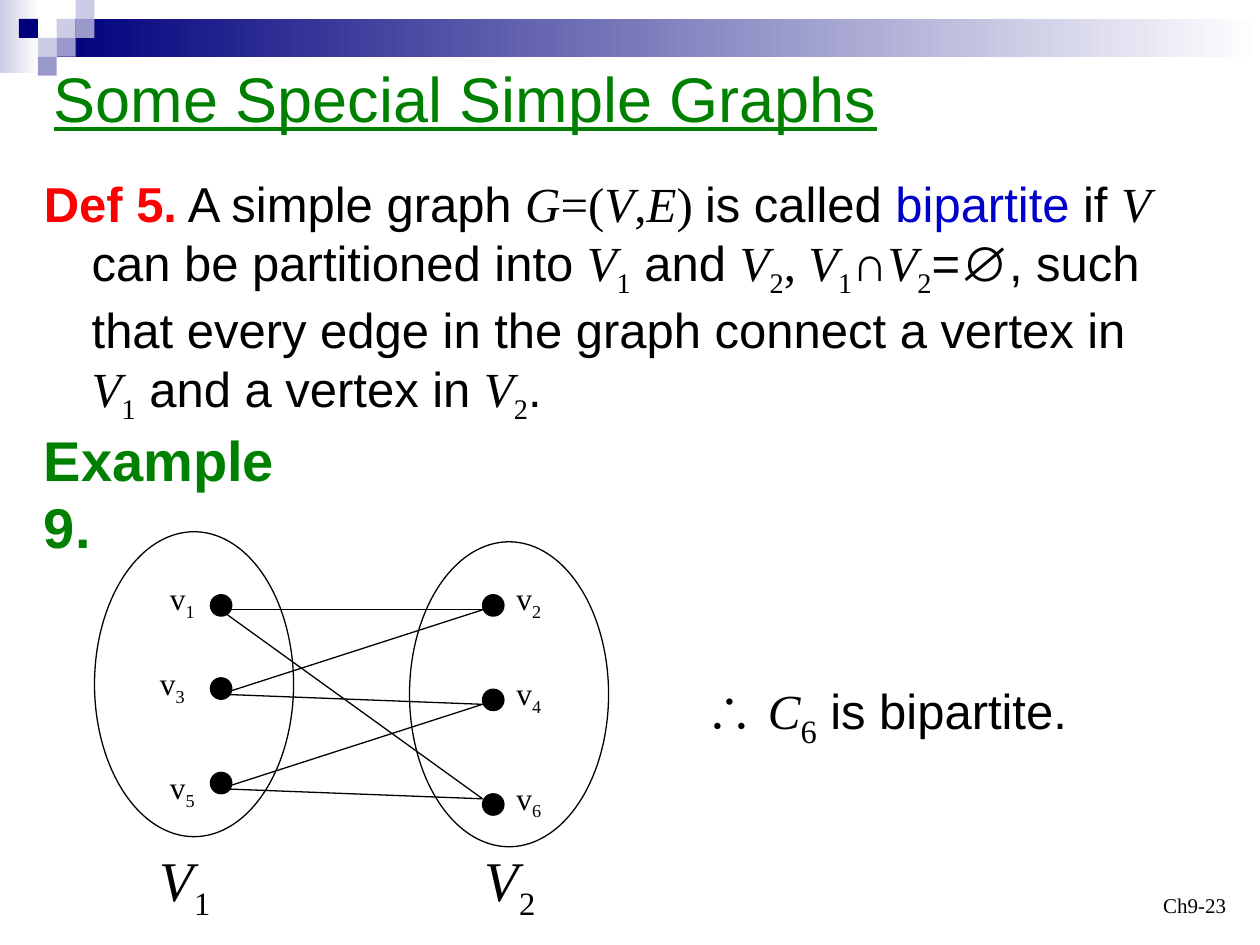
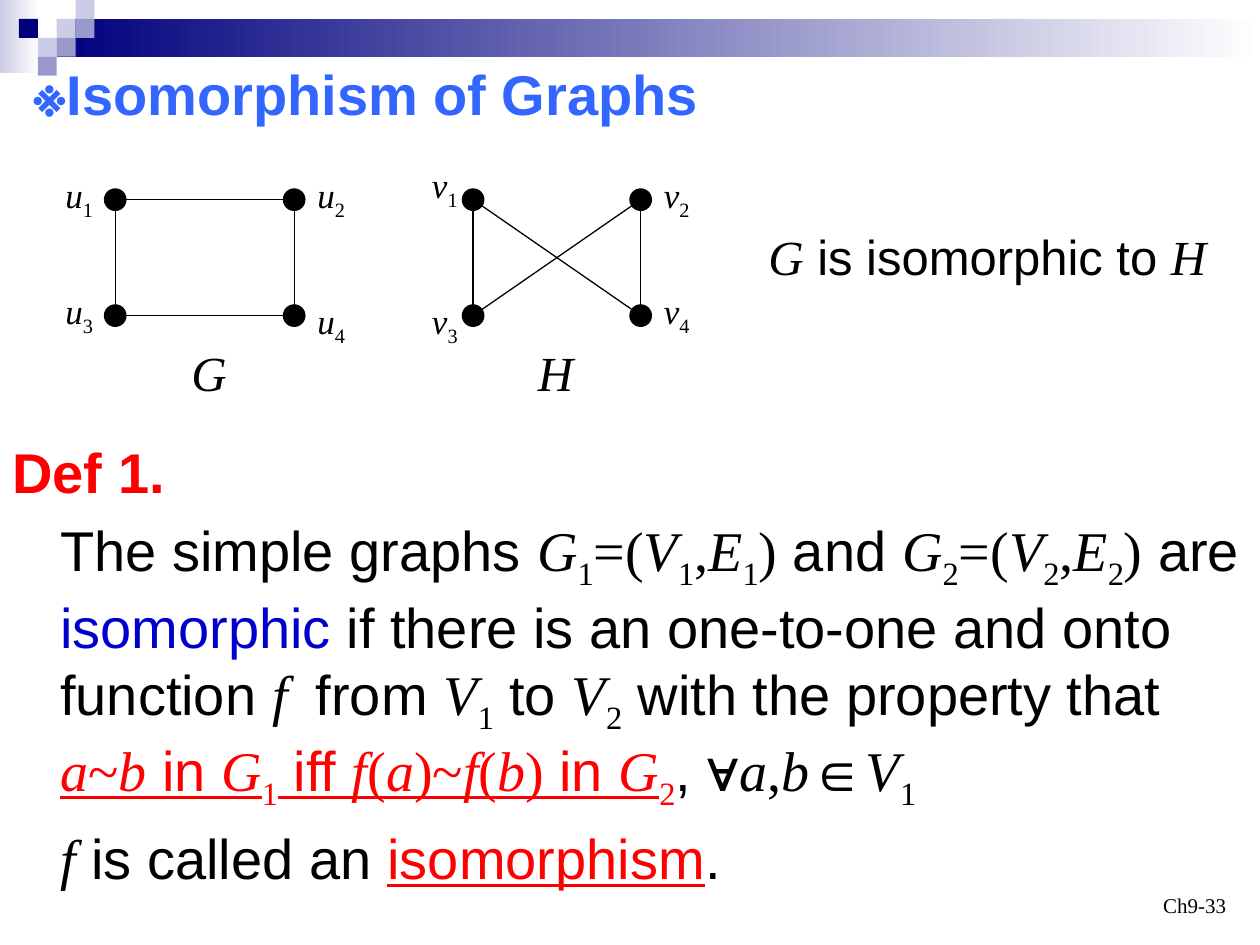
from dataclasses import dataclass

from lxml.etree import SubElement
from pptx import Presentation
from pptx.dml.color import RGBColor
from pptx.enum.shapes import MSO_CONNECTOR, MSO_SHAPE
from pptx.enum.text import MSO_ANCHOR, PP_ALIGN
from pptx.oxml.ns import qn
from pptx.util import Inches, Pt


@dataclass(frozen=True)
class Theme:
    sans: str = "Arial"
    serif: str = "Times New Roman"
    black: str = "000000"
    white: str = "FFFFFF"
    navy: str = "00007D"
    mid: str = "9999CC"
    pale: str = "CCCCE6"
    red: str = "FF0000"
    blue: str = "0000CC"
    green: str = "008000"
    azure: str = "3366FF"
    title: int = 36
    large: int = 32
    body: int = 28
    node: int = 20
    small: int = 18
    foot: int = 12
    line: float = 0.75
    dot: float = 0.17
    tile: float = 0.15


T = Theme()


def rgb(code):
    return RGBColor.from_string(code)


def add_run(para, text, marks, size, color, font):
    """Marks: b bold, i italic serif, t serif, s serif subscript, u underline,
    r red, l blue, x large."""
    run = para.add_run()
    run.text = text
    face = run.font
    face.name = T.serif if set(marks) & set("its") else font
    face.size = Pt(T.large if "x" in marks else size)
    face.bold = "b" in marks
    face.italic = "i" in marks
    face.underline = "u" in marks
    color = T.red if "r" in marks else T.blue if "l" in marks else color
    face.color.rgb = rgb(color)
    if "s" in marks:
        run._r.get_or_add_rPr().set("baseline", "-25000")


def write(slide, box, *lines, size=T.body, color=T.black, font=T.sans,
          wrap=False, align=PP_ALIGN.LEFT, anchor=MSO_ANCHOR.TOP,
          left=0, hang=(), gap=0):
    """Write one paragraph a line; [marks:text] formats a stretch of it.
    Paragraphs whose number is in hang start at the left edge."""
    frame = slide.shapes.add_textbox(*map(Inches, box)).text_frame
    frame.word_wrap = wrap
    frame.vertical_anchor = anchor
    for num, line in enumerate(lines):
        para = frame.paragraphs[0] if num == 0 else frame.add_paragraph()
        para.alignment = align
        para.space_before = Pt(gap if num else 0)
        if left:
            props = para._p.get_or_add_pPr()
            props.set("marL", str(Inches(left)))
            props.set("indent", str(Inches(-left if num in hang else 0)))
        first, *parts = line.split("[")
        chunks = [("", first)]
        for part in parts:
            inner, _, rest = part.partition("]")
            marks, _, text = inner.partition(":")
            chunks += [(marks, text), ("", rest)]
        for marks, text in chunks:
            if text:
                add_run(para, text, marks, size, color, font)


def add_form(slide, kind, box, fill=None, fade=None, line=None):
    form = slide.shapes.add_shape(kind, *map(Inches, box))
    form.shadow.inherit = False
    if fade:
        form.fill.gradient()
        form.fill.gradient_angle = 0
        for stop, color in zip(form.fill.gradient_stops, (fill, fade)):
            stop.color.rgb = rgb(color)
    elif fill:
        form.fill.solid()
        form.fill.fore_color.rgb = rgb(fill)
    else:
        form.fill.background()
    if line:
        form.line.color.rgb = rgb(line)
        form.line.width = Pt(T.line)
    else:
        form.line.fill.background()


def add_edge(slide, start, end):
    edge = slide.shapes.add_connector(
        MSO_CONNECTOR.STRAIGHT, *map(Inches, (*start, *end)))
    edge.line.color.rgb = rgb(T.black)
    edge.line.width = Pt(T.line)
    SubElement(edge._element.spPr, qn("a:effectLst"))


def add_dot(slide, x, y):
    add_form(slide, MSO_SHAPE.OVAL, (x, y, T.dot, T.dot),
             fill=T.black, line=T.black)


def add_band(slide):
    rect = MSO_SHAPE.RECTANGLE
    add_form(slide, rect, (0, 0, 0.31, 0.58), fill=T.pale, fade=T.white)
    add_form(slide, rect, (0.45, 0.15, 9.55, 0.3), fill=T.navy, fade=T.white)
    tiles = [(3, 1, T.pale), (4, 0, T.pale), (4, 1, T.mid), (2, 2, T.pale),
             (1, 1, T.navy), (3, 2, T.mid), (2, 3, T.mid)]
    for col, row, color in tiles:
        add_form(slide, rect, (col * T.tile, row * T.tile, T.tile, T.tile),
                 fill=color)


def add_page(deck, number):
    slide = deck.slides.add_slide(deck.slide_layouts[6])
    add_band(slide)
    write(slide, (7.5, 6.83, 2.33, 0.5), number, size=T.foot, font=T.serif,
          wrap=True, align=PP_ALIGN.RIGHT, anchor=MSO_ANCHOR.BOTTOM)
    return slide


def draw_halves(slide, x, y):
    """Bipartite graph: two ovals of vertices and the edges between them."""
    # Each side: oval place, dot column, set label, (dot y, label x, label y)
    left = ((0, 0), 0.92, (0.42, "1"),
            [(0.5, 0.5, 0.33), (1.16, 0.42, 1), (1.91, 0.5, 1.83)])
    right = ((2.5, 0.08), 3.08, (3, "2"),
             [(0.5, 3.25, 0.33), (1.25, 3.25, 1.08), (2.08, 3.25, 1.91)])
    for (dx, dy), _, _, _ in (left, right):
        add_form(slide, MSO_SHAPE.OVAL, (x + dx, y + dy, 1.58, 2.42),
                 line=T.black)
    starts, ends = (0.62, 1.29, 2.04), (0.62, 1.37, 2.12)
    for a, b in [(0, 0), (0, 2), (1, 0), (1, 1), (2, 1), (2, 2)]:
        add_edge(slide, (x + 1, y + starts[a]), (x + 3.08, y + ends[b]))
    for side, (_, col, (name_x, index), nodes) in enumerate((left, right)):
        for row, (dot_y, text_x, text_y) in enumerate(nodes):
            add_dot(slide, x + col, y + dot_y)
            write(slide, (x + text_x, y + text_y, 0.41, 0.4),
                  f"v[s:{2 * row + side + 1}]", size=T.small, font=T.serif)
        write(slide, (x + name_x, y + 2.44, 0.62, 0.63),
              f"[i:V][s:{index}]", size=T.large)


def draw_square(slide, box, name, name_x, letter, edges, labels):
    """Graph on the corners of a box, numbered row by row from 0."""
    x, y, w, h = box
    spots = [(x + col * w, y + row * h) for row in (0, 1) for col in (0, 1)]
    half = T.dot / 2
    for a, b in edges:
        add_edge(slide, *((sx + half, sy + half)
                          for sx, sy in (spots[a], spots[b])))
    for num, (spot, (dx, dy)) in enumerate(zip(spots, labels), 1):
        add_dot(slide, *spot)
        write(slide, (x + dx, y + dy, 0.42, 0.43),
              f"[i:{letter}][s:{num}]", size=T.node)
    write(slide, (x + name_x, y + 1.17, 0.48, 0.57), f"[i:{name}]")


def add_halves_page(deck):
    slide = add_page(deck, "Ch9-23")
    write(slide, (0.33, 0.42, 6.79, 0.71), "[u:Some Special Simple Graphs]",
          size=T.title, color=T.green)
    write(slide, (0.25, 1.33, 9, 2.17),
          "[rb:Def 5.] A simple graph [i:G][t:=(][i:V][t:,][i:E][t:) ]"
          "is called [l:bipartite] if [i:V] can be partitioned into "
          "[i:V][s:1] and [i:V][s:2][t:, ][i:V][s:1]∩[i:V][s:2]=∅, such "
          "that every edge in the graph connect a vertex in "
          "[i:V][s:1] and a vertex in [i:V][s:2].",
          wrap=True, left=0.38, hang=(0,))
    write(slide, (0.25, 3.33, 2.45, 0.63), "[b:Example 9.]",
          size=T.large, color=T.green, wrap=True)
    draw_halves(slide, 0.75, 4.22)
    write(slide, (5.5, 5.3, 3.09, 0.57),
          "[b:∴ ][i:C][sx:6][b: ]is bipartite.")


def add_match_page(deck):
    slide = add_page(deck, "Ch9-33")
    write(slide, (0.17, 0.42, 5.65, 0.63), "[b:※Isomorphism of Graphs]",
          size=T.large, color=T.azure)
    draw_square(slide, (0.83, 1.5, 1.42, 0.92), "G", 0.59, "u",
                [(0, 1), (0, 2), (2, 3), (1, 3)],
                [(-0.41, -0.17), (1.59, -0.17), (-0.41, 0.75), (1.59, 0.83)])
    draw_square(slide, (3.67, 1.5, 1.33, 0.92), "H", 0.5, "v",
                [(0, 3), (1, 2), (0, 2), (1, 3)],
                [(-0.34, -0.25), (1.5, -0.17), (-0.34, 0.83), (1.5, 0.75)])
    write(slide, (6, 1.75, 3.69, 0.57), "[i:G] is isomorphic to [i:H]")
    write(slide, (0, 3.42, 10, 3.58),
          "[rb:Def 1.]",
          "The simple graphs [i:G][s:1][t:=(][i:V][s:1][t:,][i:E][s:1][t:)]"
          " and [i:G][s:2][t:=(][i:V][s:2][t:,][i:E][s:2][t:)] are "
          "[l:isomorphic] if there is an one-to-one and onto function "
          "[i:f  ]from [i:V][s:1] to [i:V][s:2] with the property that "
          "[iru:a][tru:~][iru:b][ru: in ][iru:G][sr:1][ru: iff ]"
          "[iru:f][tru:(][iru:a][tru:)~][iru:f][tru:(][iru:b][tru:)]"
          "[ru: in ][iru:G][sr:2], ∀[i:a][t:,][i:b][t:∈][i:V][s:1]",
          "[i:f] is called an [ru:isomorphism].",
          size=T.large, wrap=True, left=0.38, hang=(0,), gap=6.4)


def main():
    deck = Presentation()
    deck.slide_width, deck.slide_height = Inches(10), Inches(7.5)
    add_halves_page(deck)
    add_match_page(deck)
    deck.save("out.pptx")


if __name__ == "__main__":
    main()
